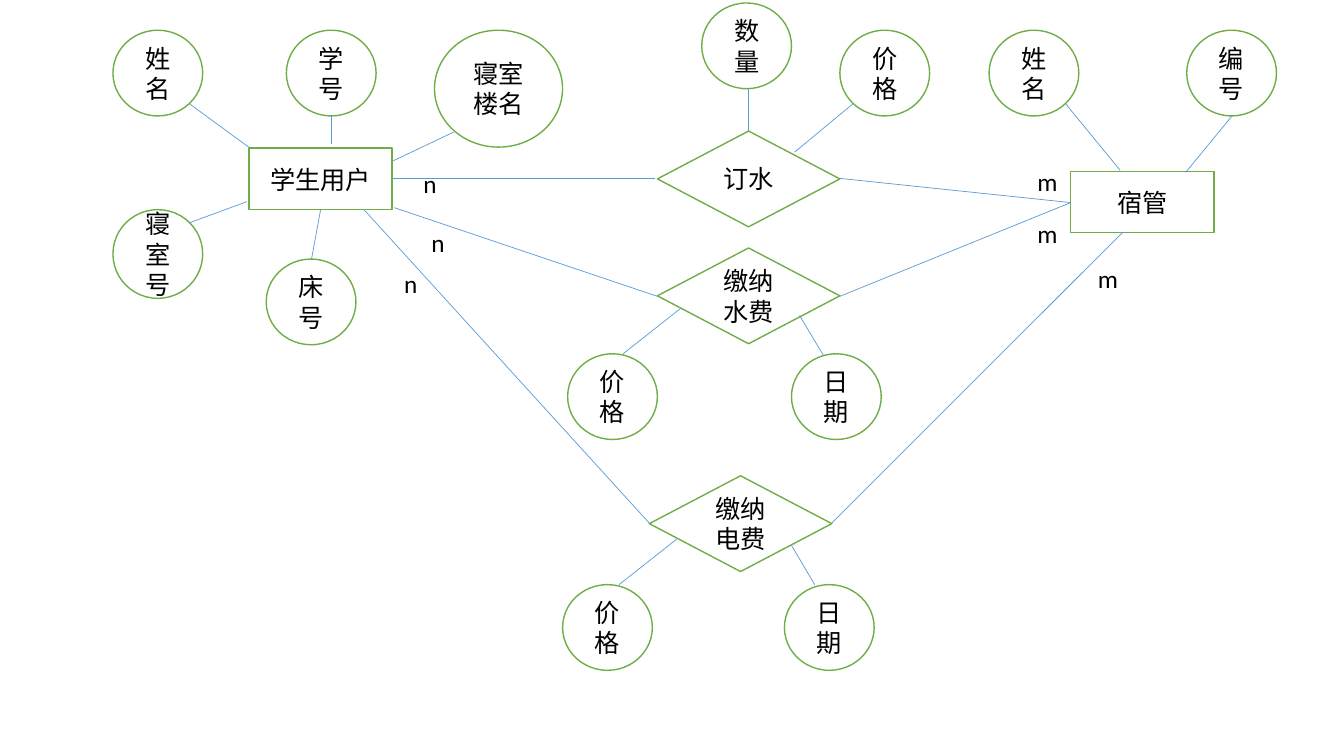
"""Draws an entity-relation chart of students, dorm staff and their water and power orders."""
import pptx
import pptx.util
import pptx.dml.color
import pptx.enum.shapes
import pptx.enum.text
import pptx.oxml.ns
from lxml import etree

Inches = pptx.util.Inches
Kind = pptx.enum.shapes.MSO_SHAPE
COLORS = {"fill": "FFFFFF", "edge": "70AD47", "link": "5B9BD5", "text": "000000"}


class Chart:
    font = "Calibri"
    size = 18

    def __init__(self, slide):
        self.slide = slide

    def color(self, name):
        return pptx.dml.color.RGBColor.from_string(COLORS[name])

    def label(self, shape, text, align):
        frame = shape.text_frame
        frame.word_wrap = True
        frame.text = text
        para = frame.paragraphs[0]
        para.alignment = align
        font = para.runs[0].font
        font.name = self.font
        font.size = pptx.util.Pt(self.size)
        font.color.rgb = self.color("text")

    def node(self, kind, text, left, top, width, height):
        shape = self.slide.shapes.add_shape(
            kind, Inches(left), Inches(top), Inches(width), Inches(height))
        shape.shadow.inherit = False
        shape.fill.solid()
        shape.fill.fore_color.rgb = self.color("fill")
        shape.line.color.rgb = self.color("edge")
        shape.line.width = pptx.util.Pt(1)
        shape.text_frame.vertical_anchor = pptx.enum.text.MSO_ANCHOR.MIDDLE
        self.label(shape, text, pptx.enum.text.PP_ALIGN.CENTER)

    def entity(self, text, left, top):
        self.node(Kind.RECTANGLE, text, left, top, 1.42, 0.61)

    def action(self, text, left, top):
        self.node(Kind.FLOWCHART_DECISION, text, left, top, 1.81, 0.95)

    def field(self, text, left, top, width=0.89, height=0.85):
        self.node(Kind.OVAL, text, left, top, width, height)

    def count(self, text, left, top):
        box = self.slide.shapes.add_textbox(
            Inches(left), Inches(top), Inches(0.32), Inches(0.4))
        self.label(box, text, pptx.enum.text.PP_ALIGN.LEFT)

    def link(self, *ends):
        line = self.slide.shapes.add_connector(
            pptx.enum.shapes.MSO_CONNECTOR.STRAIGHT, *map(Inches, ends))
        line.line.color.rgb = self.color("link")
        line.line.width = pptx.util.Pt(0.5)
        props = line._element.spPr
        etree.SubElement(props, pptx.oxml.ns.qn("a:effectLst"))


deck = pptx.Presentation()
deck.slide_width = Inches(13.33)
deck.slide_height = Inches(7.5)
chart = Chart(deck.slides.add_slide(deck.slide_layouts[6]))

ENTITIES = [("学生用户", 2.47, 1.47), ("宿管", 10.62, 1.7)]
ACTIONS = [("订水", 6.52, 1.3), ("缴纳水费", 6.52, 2.46), ("缴纳电费", 6.44, 4.72)]
FIELDS = [
    ("姓名", 1.12, 0.3), ("学号", 2.84, 0.3), ("寝室楼名", 4.31, 0.3, 1.27, 1.16),
    ("寝室号", 1.12, 2.08, 0.89, 0.88), ("床号", 2.64, 2.57),
    ("姓名", 9.81, 0.3), ("编号", 11.77, 0.3),
    ("数量", 6.96, 0.03), ("价格", 8.33, 0.3),
    ("价格", 5.63, 3.51), ("日期", 7.85, 3.51),
    ("价格", 5.58, 5.8), ("日期", 7.78, 5.8),
]
COUNTS = [
    ("n", 4.1, 1.62), ("n", 4.18, 2.21), ("n", 3.91, 2.61),
    ("m", 10.19, 1.6), ("m", 10.19, 2.12), ("m", 10.79, 2.56),
]
FIELD_LINKS = [
    (1.88, 1.03, 2.48, 1.47), (3.29, 1.15, 3.29, 1.43), (2.45, 2, 1.88, 2.21),
    (4.5, 1.31, 3.89, 1.6), (3.18, 2.08, 3.09, 2.57),
    (10.57, 1.03, 11.11, 1.69), (12.22, 1.15, 11.76, 1.71),
    (7.42, 1.3, 7.42, 0.87), (8.46, 1.03, 7.88, 1.51),
    (6.18, 3.51, 6.75, 3.06), (7.93, 3.13, 8.17, 3.53),
    (6.14, 5.8, 6.71, 5.35), (7.85, 5.41, 8.08, 5.8),
]
ACTION_LINKS = [
    (3.89, 1.77, 6.5, 1.77), (8.33, 1.77, 10.62, 2.01),
    (3.91, 2.06, 6.52, 2.94), (8.33, 2.94, 10.62, 2.01),
    (3.61, 2.08, 6.44, 5.19), (8.25, 5.19, 11.14, 2.3),
]

for draw, items in [
    (chart.entity, ENTITIES),
    (chart.action, ACTIONS),
    (chart.field, FIELDS),
    (chart.link, FIELD_LINKS + ACTION_LINKS),
    (chart.count, COUNTS),
]:
    for item in items:
        draw(*item)

deck.save("out.pptx")
